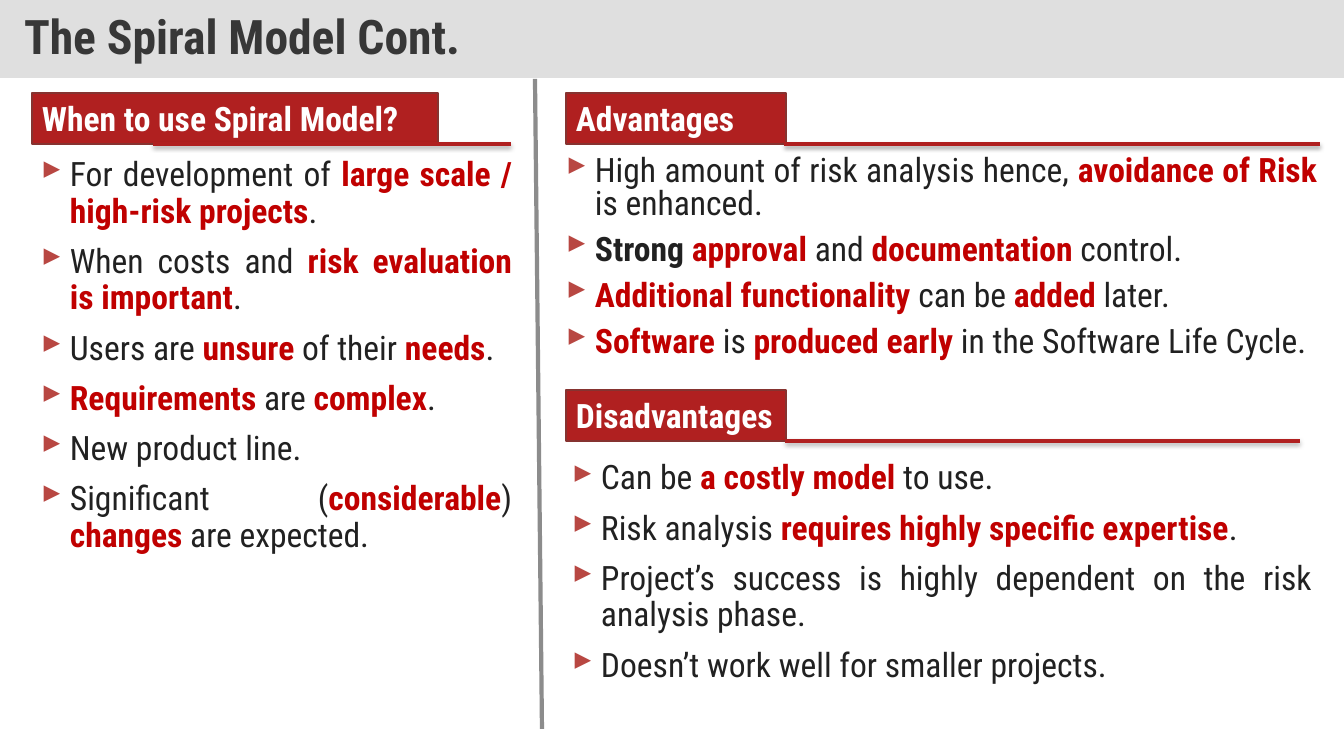
from lxml import etree
from pptx import Presentation
from pptx import util as u
from pptx.dml.color import RGBColor
from pptx.enum import shapes, text
from pptx.oxml import parse_xml
from pptx.oxml.ns import nsdecls, qn


def px(n):
    return u.Emu(round(n * 12192000 / 1344))


def hue(code):
    return RGBColor.from_string(code)


class Deck:
    font = "Roboto Condensed"
    ink, red, brand = "212121", "C00000", "B02020"

    def __init__(self):
        self.prs = Presentation()
        self.prs.slide_width, self.prs.slide_height = px(1344), px(756)
        self.slide = self.prs.slides.add_slide(self.prs.slide_layouts[6])

    def style(self, run, size, color, bold):
        font = run.font
        font.name, font.size, font.bold = self.font, u.Pt(size), bold
        font.color.rgb = hue(color)

    def box(self, x, y, w, h, fill, words, size, color):
        box = self.slide.shapes.add_shape(
            shapes.MSO_SHAPE.RECTANGLE, px(x), px(y), px(w), px(h))
        box.shadow.inherit = False
        box.fill.solid()
        box.fill.fore_color.rgb = hue(fill)
        box.line.fill.background()
        frame = box.text_frame
        frame.text = words
        frame.word_wrap = True
        para = frame.paragraphs[0]
        para.alignment = text.PP_ALIGN.LEFT
        self.style(para.runs[0], size, color, True)
        return box

    def title(self, words):
        box = self.box(0, 0, 1344, 78, "C0C0C0", words, 34, "373737")
        tint = box.fill._xPr.find(qn("a:solidFill"))[0]
        etree.SubElement(tint, qn("a:alpha")).set("val", "50000")
        frame = box.text_frame
        frame.vertical_anchor = text.MSO_ANCHOR.MIDDLE
        frame.margin_left = frame.margin_right = px(24)
        frame.margin_top = frame.margin_bottom = px(12)
        frame.paragraphs[0].line_spacing = 0.9

    def tag(self, x, y, w, words):
        box = self.box(x, y, w, 51, self.brand, words, 24, "FFFFFF")
        box.line.color.rgb = hue("863330")
        box.line.width = u.Pt(2)
        box.text_frame.vertical_anchor = text.MSO_ANCHOR.TOP
        box.text_frame.auto_size = text.MSO_AUTO_SIZE.SHAPE_TO_FIT_TEXT

    def line(self, x1, y1, x2, y2, color, width, shade=False):
        line = self.slide.shapes.add_connector(
            shapes.MSO_CONNECTOR.STRAIGHT, px(x1), px(y1), px(x2), px(y2))
        line.line.color.rgb = hue(color)
        line.line.width = u.Pt(width)
        glow = ('<a:outerShdw blurRad="40000" dist="20000" dir="5400000" '
                'rotWithShape="0"><a:srgbClr val="000000">'
                '<a:alpha val="38000"/></a:srgbClr></a:outerShdw>')
        line._element.spPr.append(parse_xml(
            f'<a:effectLst {nsdecls("a")}>{glow if shade else ""}</a:effectLst>'))

    def list(self, x, y, w, h, rows, gap=0.9):
        frame = self.slide.shapes.add_textbox(
            px(x), px(y), px(w), px(h)).text_frame
        frame.word_wrap = True
        for i, row in enumerate(rows):
            para = frame.add_paragraph() if i else frame.paragraphs[0]
            self.bullet(para)
            para.alignment = text.PP_ALIGN.JUSTIFY
            para.line_spacing = gap
            if i:
                para.space_before = u.Pt(10)
            for part in row.split("|"):
                run = para.add_run()
                run.text = part.lstrip("*!")
                color = self.red if part.startswith("*") else self.ink
                self.style(run, 24, color, part[0] in "*!")

    def bullet(self, para):
        props = para._p.get_or_add_pPr()
        props.set("marL", str(px(29)))
        props.set("indent", str(-px(29)))
        tint = etree.SubElement(props, qn("a:buClr"))
        etree.SubElement(tint, qn("a:srgbClr")).set("val", "B84742")
        face = etree.SubElement(props, qn("a:buFont"))
        face.set("typeface", "Wingdings 3")
        face.set("pitchFamily", "18")
        face.set("charset", "2")
        etree.SubElement(props, qn("a:buChar")).set("char", "}")


def main():
    deck = Deck()
    deck.title("The Spiral Model Cont.")

    deck.tag(32, 93, 406, "When to use Spiral Model?")
    deck.line(153, 144, 511, 144, deck.brand, 2.25, True)
    deck.list(31, 153, 491, 481, [
        "For development of |*large scale / high-risk projects|.",
        "When costs and |*risk evaluation is important|.",
        "Users are |*unsure |of their |*needs|.",
        "*Requirements |are |*complex|.",
        "New product line.",
        "Significant (|*considerable|) |*changes |are expected."])

    deck.line(535, 79, 542, 729, "8C8C8C", 3)

    deck.tag(566, 93, 220, "Advantages")
    deck.list(556, 152, 771, 253, [
        "High amount of risk analysis hence, |*avoidance of Risk| is enhanced.",
        "!Strong |*approval |and |*documentation |control.",
        "*Additional functionality |can be |*added |later.",
        "*Software |is |*produced early |in the Software Life Cycle."], 0.8)
    deck.line(784, 144, 1320, 144, deck.brand, 2.25, True)

    deck.tag(566, 390, 220, "Disadvantages")
    deck.line(785, 441, 1300, 441, deck.brand, 2.25, True)
    deck.list(562, 456, 760, 323, [
        "Can be |*a costly model| to use.",
        "Risk analysis |*requires highly specific expertise|.",
        "Project’s success is highly dependent on the risk analysis phase.",
        "Doesn’t work well for smaller projects."])

    deck.prs.save("out.pptx")


if __name__ == "__main__":
    main()
